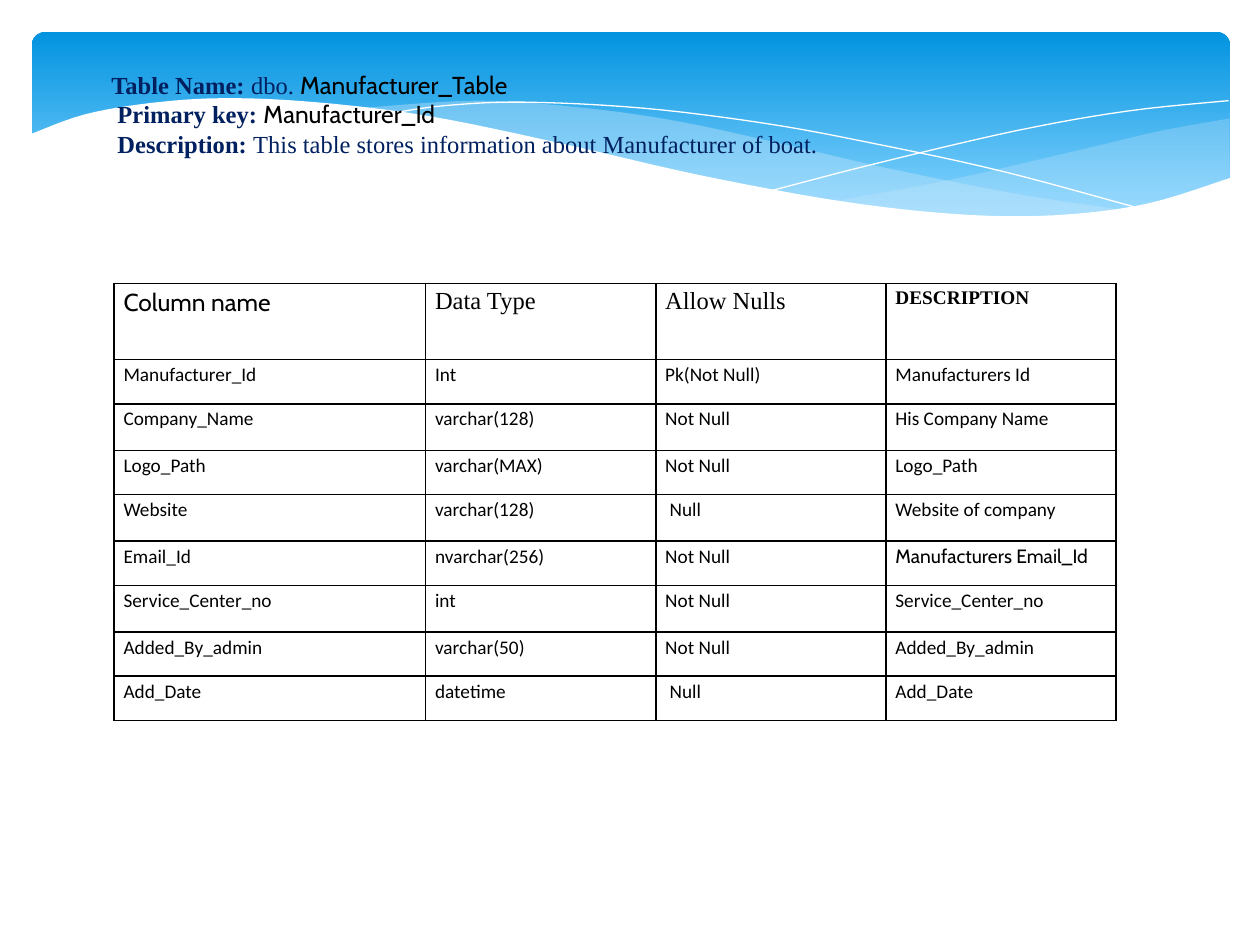
from typing import NamedTuple, Optional

from lxml.etree import SubElement
from pptx import Presentation
from pptx.dml.color import RGBColor
from pptx.enum.shapes import MSO_SHAPE
from pptx.enum.text import MSO_ANCHOR, MSO_AUTO_SIZE, PP_ALIGN
from pptx.oxml.ns import qn
from pptx.util import Cm, Pt

BLACK = RGBColor(0x00, 0x00, 0x00)
WHITE = RGBColor(0xFF, 0xFF, 0xFF)
NAVY = RGBColor(0x00, 0x20, 0x60)
BANNER_TOP = RGBColor(0x02, 0x93, 0xE0)
BANNER_BOTTOM = RGBColor(0x83, 0xD3, 0xFE)
PALE_BLUE = RGBColor(0xC6, 0xE7, 0xFC)
SERIF, SANS, ACCENT = "Times New Roman", "Calibri", "Cabin"


class Style(NamedTuple):
    font: str
    size: float
    color: RGBColor = BLACK
    bold: bool = False


class Wave(NamedTuple):
    """Smooth curves through knots in cm, joined in order; no fill means a white line."""
    curves: list
    fill: Optional[RGBColor] = None
    opacity: int = 100


LABEL = Style(SERIF, 14, NAVY, True)
VALUE = Style(SERIF, 14, NAVY)
NAME = Style(ACCENT, 14)
BODY = Style(SANS, 11)

TITLE_LINES = [
    [("Table Name: ", LABEL), ("dbo. ", VALUE), ("Manufacturer_Table", NAME)],
    [(" Primary key: ", LABEL), ("Manufacturer_Id", NAME)],
    [(" Description: ", LABEL),
     ("This table stores information about Manufacturer of boat.", VALUE)],
]

WAVES = [
    Wave([[(24.79, 2.39), (23.39, 2.64), (21.87, 3), (19.13, 3.63), (16.79, 4.06)],
          [(16.79, 4.06), (18.26, 4.24), (20.12, 4.37), (21.92, 4.32), (23.57, 4.01),
           (24.79, 3.58)]], PALE_BLUE, 29),
    Wave([[(22.68, 4.24), (20.5, 3.91), (17.93, 3.4), (15.98, 2.95), (13.74, 2.46),
           (11.81, 2.18), (9.65, 2.03), (7.26, 2.18)],
          [(7.26, 2.18), (9.19, 2.46), (11.4, 2.95), (14.38, 3.63), (16.51, 4.01),
           (18.69, 4.29), (20.78, 4.39), (22.68, 4.24)]], PALE_BLUE, 40),
    Wave([[(7.85, 2.29), (8.97, 2.13), (10.57, 2.06), (12.95, 2.18), (15.44, 2.49),
           (17.65, 2.9), (20.19, 3.45), (23.04, 4.22)]]),
    Wave([[(15.57, 3.84), (17.65, 3.3), (20.47, 2.64), (22.73, 2.24), (24.77, 2.03)]]),
    Wave([[(24.82, 3.58), (23.11, 4.11), (21.26, 4.34), (19.33, 4.32), (16.97, 4.06),
           (14.1, 3.53), (11.35, 2.9), (8.64, 2.34), (6.35, 2.06), (4.5, 1.98),
           (3.02, 2.08), (1.7, 2.31), (0.58, 2.72)],
          [(0.58, 5.69), (24.82, 5.69)]], WHITE),
]

COLUMN_WIDTHS = [6.28, 4.64, 4.64, 4.64]
ROW_HEIGHTS = [1.53, 0.89, 0.94, 0.89, 0.94, 0.89, 0.94, 0.89, 0.89]
ROWS = [
    ["Column name", "Data Type", "Allow Nulls", "DESCRIPTION"],
    ["Manufacturer_Id", "Int", "Pk(Not Null)", "Manufacturers Id"],
    ["Company_Name", "varchar(128)", "Not Null", "His Company Name"],
    ["Logo_Path", "varchar(MAX)", "Not Null", "Logo_Path"],
    ["Website", "varchar(128)", " Null", "Website of company"],
    ["Email_Id", "nvarchar(256)", "Not Null", "Manufacturers Email_Id"],
    ["Service_Center_no", "int", "Not Null", "Service_Center_no"],
    ["Added_By_admin", "varchar(50)", "Not Null", "Added_By_admin"],
    ["Add_Date", "datetime", " Null", "Add_Date"],
]
SPECIAL_STYLES = {
    (0, 0): NAME,
    (0, 1): Style(SERIF, 14),
    (0, 2): Style(SERIF, 14),
    (0, 3): Style(SERIF, 11, bold=True),
    (5, 3): Style(ACCENT, 11),
}


def add_run(paragraph, text: str, style: Style) -> None:
    run = paragraph.add_run()
    run.text = text
    run.font.name = style.font
    run.font.size = Pt(style.size)
    run.font.bold = style.bold
    run.font.color.rgb = style.color


def smooth(knots: list, steps: int = 6) -> list:
    """Return points on a Catmull-Rom curve through the knots."""
    padded = [knots[0], *knots, knots[-1]]
    points = [knots[0]]
    for a, b, c, d in zip(padded, padded[1:], padded[2:], padded[3:]):
        for step in range(1, steps + 1):
            t = step / steps
            points.append(tuple(
                (2 * q + (r - p) * t + (2 * p - 5 * q + 4 * r - s) * t ** 2
                 + (3 * q - p - 3 * r + s) * t ** 3) / 2
                for p, q, r, s in zip(a, b, c, d)))
    return points


def draw_wave(slide, wave: Wave) -> None:
    points = [(Cm(x), Cm(y)) for curve in wave.curves for x, y in smooth(curve)]
    builder = slide.shapes.build_freeform(*points[0])
    builder.add_line_segments(points[1:], close=wave.fill is not None)
    shape = builder.convert_to_shape()
    shape.shadow.inherit = False
    if wave.fill is None:
        shape.fill.background()
        shape.line.color.rgb = WHITE
        shape.line.width = Pt(0)
        return
    shape.line.fill.background()
    shape.fill.solid()
    shape.fill.fore_color.rgb = wave.fill
    if wave.opacity < 100:
        color = shape.element.spPr.find(qn("a:solidFill"))[0]
        SubElement(color, qn("a:alpha"), val=str(wave.opacity * 1000))


def draw_banner(slide) -> None:
    banner = slide.shapes.add_shape(
        MSO_SHAPE.ROUNDED_RECTANGLE, Cm(0.64), Cm(0.64), Cm(24.16), Cm(3.96))
    banner.adjustments[0] = 0.07
    banner.shadow.inherit = False
    banner.line.fill.background()
    banner.fill.gradient()
    banner.fill.gradient_angle = 270
    stops = banner.fill.gradient_stops
    for stop, color, position in zip(stops, (BANNER_TOP, BANNER_BOTTOM), (0, 0.9)):
        stop.color.rgb = color
        stop.position = position
    for wave in WAVES:
        draw_wave(slide, wave)


def add_borders(cell) -> None:
    properties = cell._tc.get_or_add_tcPr()
    for index, side in enumerate(("a:lnL", "a:lnR", "a:lnT", "a:lnB")):
        line = SubElement(properties, qn(side), w=str(Pt(1)))
        fill = SubElement(line, qn("a:solidFill"))
        SubElement(fill, qn("a:srgbClr"), val=str(BLACK))
        properties.insert(index, line)


def draw_table(slide) -> None:
    table = slide.shapes.add_table(
        len(ROWS), len(COLUMN_WIDTHS), Cm(2.3), Cm(5.72),
        Cm(sum(COLUMN_WIDTHS)), Cm(sum(ROW_HEIGHTS))).table
    table.first_row = table.horz_banding = False
    for column, width in zip(table.columns, COLUMN_WIDTHS):
        column.width = Cm(width)
    for row, height in zip(table.rows, ROW_HEIGHTS):
        row.height = Cm(height)
    for row_index, texts in enumerate(ROWS):
        for column_index, text in enumerate(texts):
            cell = table.cell(row_index, column_index)
            cell.fill.background()
            cell.margin_left = cell.margin_right = Cm(0.19)
            cell.margin_top = cell.margin_bottom = 0
            paragraph = cell.text_frame.paragraphs[0]
            paragraph.line_spacing = 1.15
            add_run(paragraph, text, SPECIAL_STYLES.get((row_index, column_index), BODY))
            add_borders(cell)


def write_title(slide) -> None:
    title = slide.shapes.title
    title.left, title.top, title.width, title.height = Cm(1.35), Cm(1.27), Cm(20.96), Cm(2.06)
    frame = title.text_frame
    frame.word_wrap = True
    frame.auto_size = MSO_AUTO_SIZE.SHAPE_TO_FIT_TEXT
    frame.vertical_anchor = MSO_ANCHOR.MIDDLE
    for index, runs in enumerate(TITLE_LINES):
        paragraph = frame.add_paragraph() if index else frame.paragraphs[0]
        paragraph.alignment = PP_ALIGN.LEFT
        properties = paragraph._p.get_or_add_pPr()
        properties.set("marL", "0")
        properties.set("indent", str(Cm(0.64)))
        for text, style in runs:
            add_run(paragraph, text, style)
    title.element.getparent().append(title.element)  # bring to the front


def main() -> None:
    presentation = Presentation()
    presentation.slide_width, presentation.slide_height = Cm(25.4), Cm(19.05)
    slide = presentation.slides.add_slide(presentation.slide_layouts[5])
    draw_banner(slide)
    draw_table(slide)
    write_title(slide)
    presentation.save("out.pptx")


if __name__ == "__main__":
    main()
